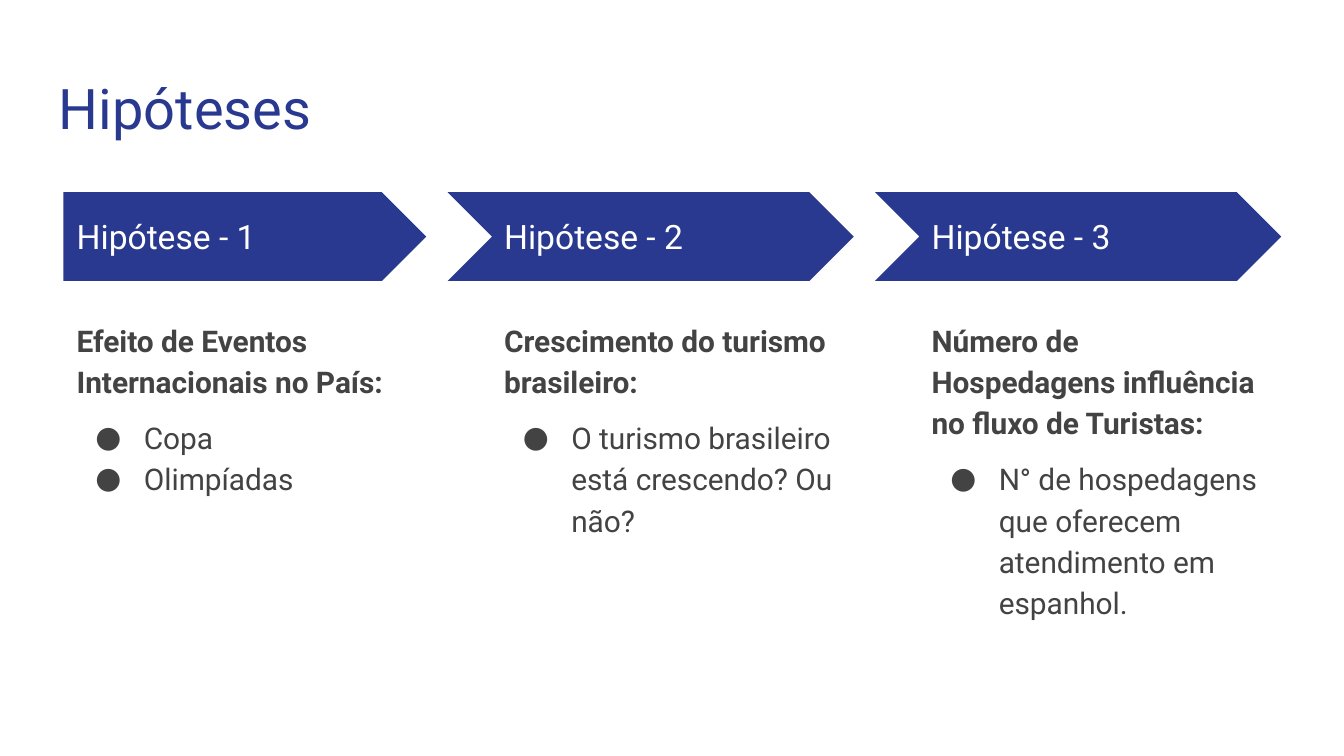
from lxml import etree
from pptx import Presentation
from pptx.dml.color import RGBColor
from pptx.enum.shapes import MSO_SHAPE
from pptx.enum.text import MSO_ANCHOR
from pptx.oxml.ns import qn
from pptx.util import Pt

PENTAGON, CHEVRON = MSO_SHAPE.PENTAGON, MSO_SHAPE.CHEVRON
TOP, MIDDLE = MSO_ANCHOR.TOP, MSO_ANCHOR.MIDDLE

COLORS = {"blue": "2A3990", "white": "FFFFFF", "gray": "434343"}
FONT = "Roboto"
LEFT, PITCH, WIDTH, NOTCH = 34, 229, 194.4, 23.2
ARROW_TOP, ARROW_HEIGHT = 103, 47.5
BODY_TOP = 162.8

HYPOTHESES = [
    ("Hipótese - 1", "Efeito de Eventos Internacionais no País:",
     ["Copa", "Olimpíadas"], 209),
    ("Hipótese - 2", "Crescimento do turismo brasileiro:",
     ["O turismo brasileiro está crescendo? Ou não?"], 237.6),
    ("Hipótese - 3", "Número de Hospedagens influência no fluxo de Turistas:",
     ["N° de hospedagens que oferecem atendimento em espanhol."], 231),
]


class SlideBuilder:
    """Draws the elements of a slide in one shared style."""

    def __init__(self, slide):
        self.slide = slide

    def arrow(self, kind, left, width):
        shape = self.slide.shapes.add_shape(
            kind, Pt(left), Pt(ARROW_TOP), Pt(width), Pt(ARROW_HEIGHT))
        shape.adjustments[0] = 0.5
        shape.shadow.inherit = False
        shape.fill.solid()
        shape.fill.fore_color.rgb = RGBColor.from_string(COLORS["blue"])
        shape.line.fill.background()

    def frame(self, left, top, width, height, anchor=TOP):
        box = self.slide.shapes.add_textbox(Pt(left), Pt(top), Pt(width), Pt(height))
        frame = box.text_frame
        frame.word_wrap = True
        frame.vertical_anchor = anchor
        frame.margin_left = frame.margin_right = Pt(7.2)
        frame.margin_top = frame.margin_bottom = Pt(7.2)
        return frame

    def run(self, paragraph, text, size, color, bold=False):
        run = paragraph.add_run()
        run.text = text
        run.font.name = FONT
        run.font.size = Pt(size)
        run.font.bold = bold
        run.font.color.rgb = RGBColor.from_string(COLORS[color])

    def label(self, text, left, top, width, height, size, color, anchor=TOP):
        frame = self.frame(left, top, width, height, anchor)
        self.run(frame.paragraphs[0], text, size, color)

    def bullet(self, paragraph):
        properties = paragraph._p.get_or_add_pPr()
        properties.set("marL", str(Pt(36)))
        properties.set("indent", str(Pt(-26)))
        color = etree.SubElement(properties, qn("a:buClr"))
        etree.SubElement(color, qn("a:srgbClr"), val=COLORS["gray"])
        etree.SubElement(properties, qn("a:buFont"), typeface=FONT)
        etree.SubElement(properties, qn("a:buChar"), char="●")

    def body(self, heading, items, left, height):
        frame = self.frame(left, BODY_TOP, WIDTH, height)
        paragraph = frame.paragraphs[0]
        paragraph.line_spacing = 1.15
        self.run(paragraph, heading, 16, "gray", bold=True)
        for index, item in enumerate(items):
            paragraph = frame.add_paragraph()
            paragraph.line_spacing = 1.15
            paragraph.space_before = Pt(0 if index else 8)
            self.bullet(paragraph)
            self.run(paragraph, item, 16, "gray")


def main():
    presentation = Presentation()
    presentation.slide_width, presentation.slide_height = Pt(720), Pt(405)
    builder = SlideBuilder(presentation.slides.add_slide(presentation.slide_layouts[6]))
    builder.label("Hipóteses", 24.5, 32.4, 671, 47.5, 30, "blue")
    for index, (name, heading, items, height) in enumerate(HYPOTHESES):
        left = LEFT + index * PITCH
        notch = NOTCH if index else 0
        builder.arrow(CHEVRON if index else PENTAGON, left - notch, WIDTH + notch)
        builder.label(name, left, 114.5, 178, 24.5, 18, "white", MIDDLE)
        builder.body(heading, items, left, height)
    presentation.save("out.pptx")


if __name__ == "__main__":
    main()
